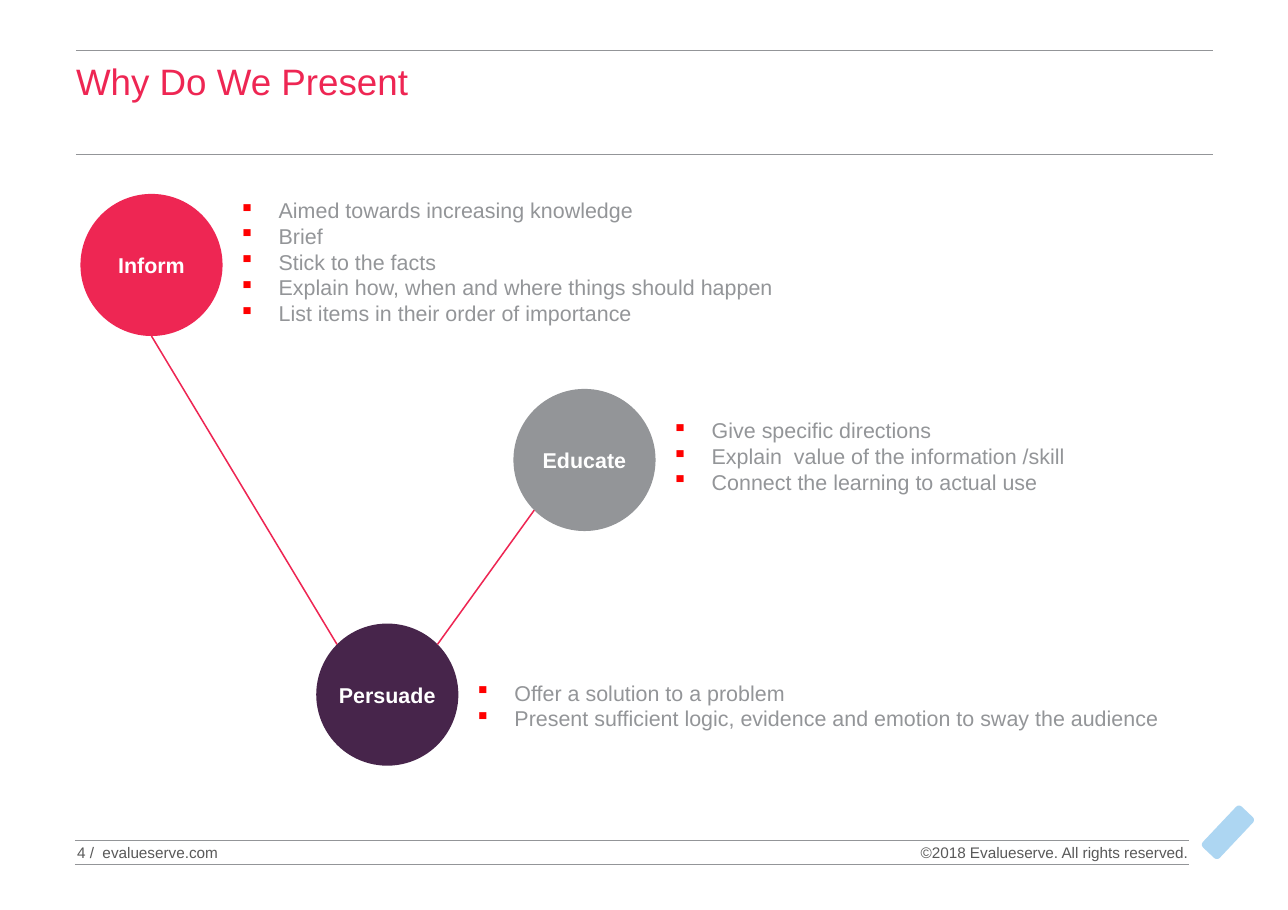
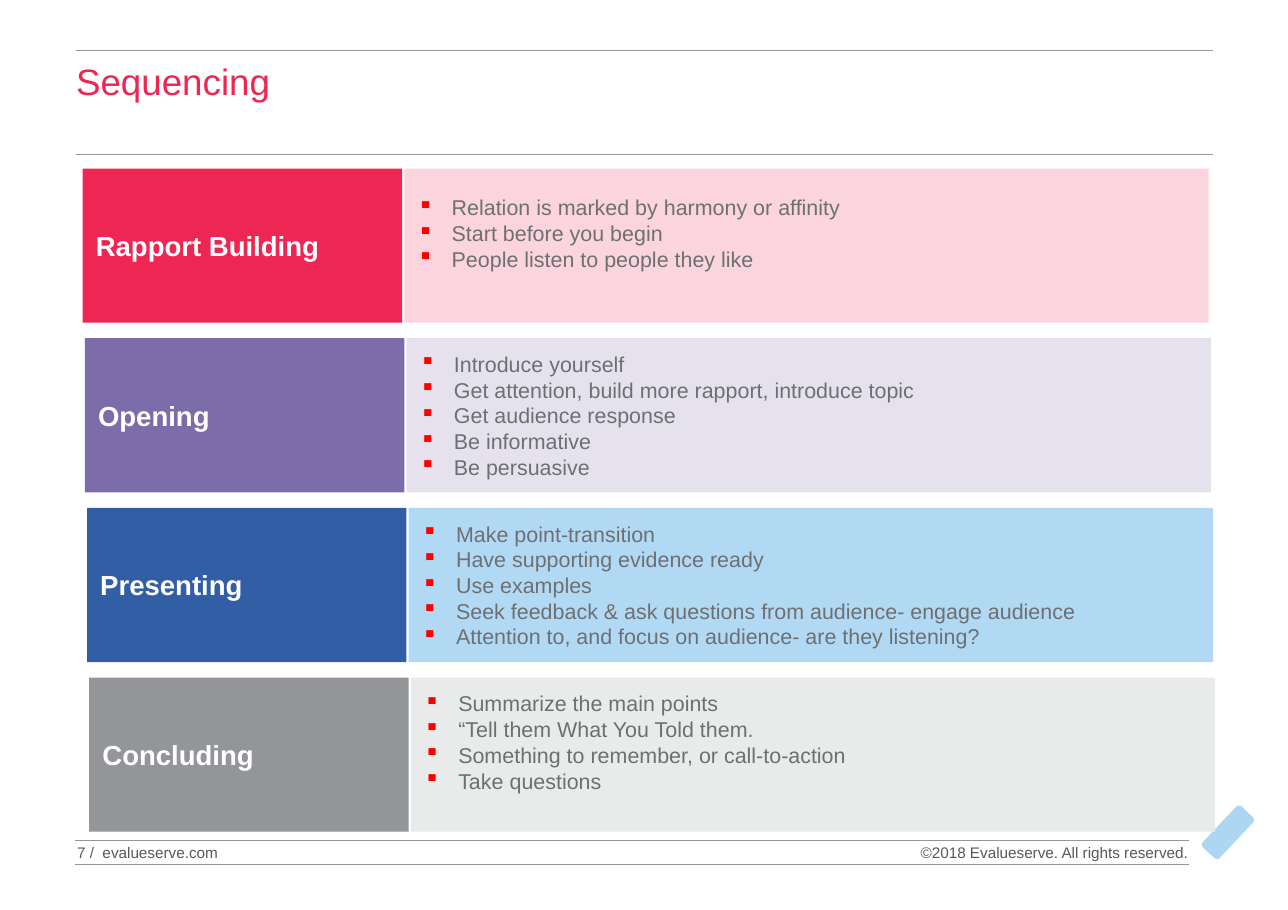
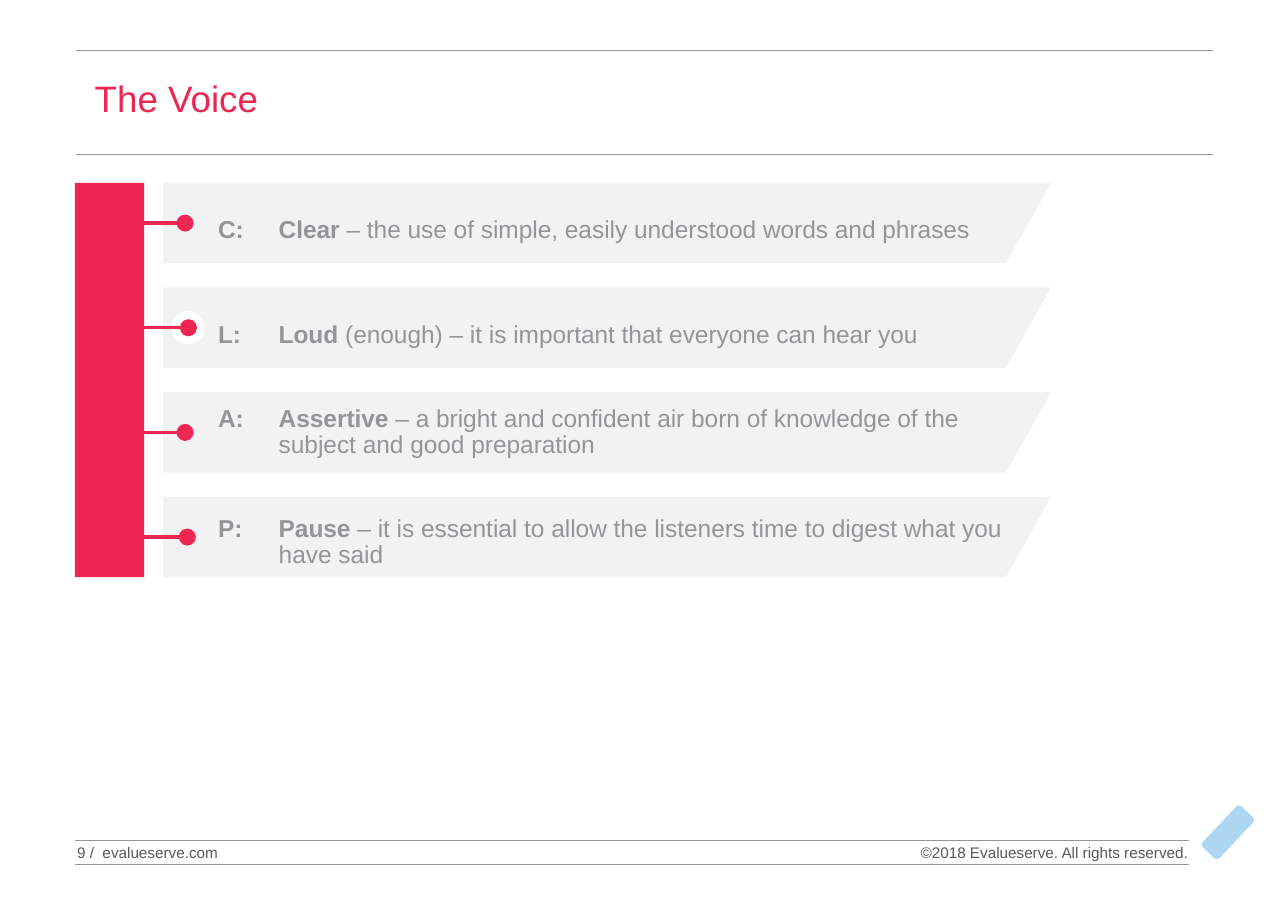
from math import cos, radians, sin

from lxml.etree import SubElement
from pptx import Presentation
from pptx.dml.color import RGBColor
from pptx.enum.shapes import MSO_CONNECTOR as CONNECTOR, MSO_SHAPE as SHAPE
from pptx.enum.text import MSO_ANCHOR as ANCHOR, MSO_AUTO_SIZE as AUTO_SIZE, PP_ALIGN as ALIGN
from pptx.oxml.ns import qn
from pptx.util import Inches, Pt

FONT = "Arial"
RED, PLUM, GRAY, WHITE = "EE2653", "47254B", "939598", "FFFFFF"
PURPLE, BLUE, SKY = "7C6CAA", "315EA5", "ADD6F2"
BODY, FOOTER, BULLET, BAND = "6D7073", "595959", "FF0000", "F2F2F2"
TITLE_BOX = (0.69, 0.48, 10.32, 0.85)


def color(value):
    return RGBColor.from_string(value)


def inches(values):
    return [Inches(value) for value in values]


# Basic parts

def format_frame(shape, anchor=ANCHOR.TOP, insets=(0, 0, 0, 0), wrap=True):
    """Insets run left, top, right, bottom."""
    frame = shape.text_frame
    frame.word_wrap = wrap
    frame.auto_size = AUTO_SIZE.NONE
    frame.vertical_anchor = anchor
    (frame.margin_left, frame.margin_top,
     frame.margin_right, frame.margin_bottom) = inches(insets)
    return frame


def format_runs(paragraph, size, fill, bold=False, align=ALIGN.LEFT):
    paragraph.alignment = align
    for run in paragraph.runs:
        run.font.name, run.font.size, run.font.bold = FONT, Pt(size), bold
        run.font.color.rgb = color(fill)


def paint(shape, fill):
    shape.shadow.inherit = False
    shape.fill.solid()
    shape.fill.fore_color.rgb = color(fill)
    shape.line.fill.background()
    return shape


def add_block(slide, kind, box, fill):
    return paint(slide.shapes.add_shape(kind, *inches(box)), fill)


def add_line(slide, start, end, fill=GRAY, width=0.75, dot=False):
    line = slide.shapes.add_connector(CONNECTOR.STRAIGHT, *inches((*start, *end)))
    line.line.color.rgb = color(fill)
    line.line.width = Pt(width)
    if dot:
        SubElement(line.line._get_or_add_ln(), qn("a:tailEnd"), type="oval", w="lg", len="lg")
    SubElement(line._element.spPr, qn("a:effectLst"))


def add_text(slide, box, text, size, fill, align=ALIGN.LEFT):
    shape = slide.shapes.add_textbox(*inches(box))
    frame = format_frame(shape, ANCHOR.MIDDLE)
    frame.text = text
    format_runs(frame.paragraphs[0], size, fill, align=align)


def set_hanging(paragraph, indent):
    properties = paragraph._p.get_or_add_pPr()
    properties.set("marL", str(Inches(indent)))
    properties.set("indent", str(-Inches(indent)))
    return properties


def fill_bullets(frame, items, fill, indent):
    frame.text = "\n".join(items)
    for paragraph in frame.paragraphs:
        properties = set_hanging(paragraph, indent)
        bullet_color = SubElement(properties, qn("a:buClr"))
        SubElement(bullet_color, qn("a:srgbClr"), val=BULLET)
        SubElement(properties, qn("a:buChar"), char="▪")
        format_runs(paragraph, 14, fill)


# Shared page: rules, footer, corner accent and title

def add_page(presentation, title, number, title_box=TITLE_BOX):
    slide = presentation.slides.add_slide(presentation.slide_layouts[5])
    accent = add_block(slide, SHAPE.ROUNDED_RECTANGLE, (11.04, 7.3, 0.21, 0.51), SKY)
    accent.rotation = 43.3
    for left, right, top in ((0.69, 11.01, 0.46), (0.69, 11.01, 1.4),
                             (0.68, 10.79, 7.63), (0.68, 10.79, 7.85)):
        add_line(slide, (left, top), (right, top))
    add_text(slide, (0.7, 7.63, 1.72, 0.22), f"{number} /  evalueserve.com", 10, FOOTER)
    add_text(slide, (7.08, 7.64, 3.7, 0.2), "©2018 Evalueserve. All rights reserved.",
             10, FOOTER, ALIGN.RIGHT)

    heading = slide.shapes.title
    heading.left, heading.top, heading.width, heading.height = inches(title_box)
    frame = format_frame(heading, insets=(0, 0.05, 0, 0.05))
    frame.text = title
    format_runs(frame.paragraphs[0], 24, RED)
    return slide


# Purpose slide: circles joined by lines, each with a list

DIAMETER = 1.29


def add_purpose(slide, left, top, name, fill, list_top, list_width, items):
    circle = add_block(slide, SHAPE.OVAL, (left, top, DIAMETER, DIAMETER), fill)
    frame = format_frame(circle, ANCHOR.MIDDLE, wrap=False)
    frame.text = name
    format_runs(frame.paragraphs[0], 14, WHITE, True, ALIGN.CENTER)
    box = (left + DIAMETER + 0.15, list_top, list_width, 0.25 * len(items) + 0.1)
    notes = slide.shapes.add_textbox(*inches(box))
    fill_bullets(format_frame(notes), items, GRAY, 0.36)


def rim_point(left, top, angle):
    """Point on a circle's rim; angles run clockwise from the right."""
    radius = DIAMETER / 2
    return (left + radius * (1 + cos(radians(angle))),
            top + radius * (1 + sin(radians(angle))))


def build_purposes(presentation):
    slide = add_page(presentation, "Why Do We Present", 4)
    inform, educate, persuade = (0.73, 1.76), (4.66, 3.53), (2.87, 5.66)
    add_purpose(slide, *inform, "Inform", RED, 1.79, 6.1, [
        "Aimed towards increasing knowledge",
        "Brief",
        "Stick to the facts",
        "Explain how, when and where things should happen",
        "List items in their order of importance"])
    add_purpose(slide, *educate, "Educate", GRAY, 3.79, 4.93, [
        "Give specific directions",
        "Explain  value of the information /skill",
        "Connect the learning to actual use"])
    add_purpose(slide, *persuade, "Persuade", PLUM, 6.17, 6.79, [
        "Offer a solution to a problem",
        "Present sufficient logic, evidence and emotion to sway the audience"])
    add_line(slide, rim_point(*inform, 90), rim_point(*persuade, 225), RED, 1)
    add_line(slide, rim_point(*educate, 135), rim_point(*persuade, 315), RED, 1)


# Sequence slide: rows of a heading block and a list block

def add_stage(slide, left, top, name, fill, tint, items, bottom_inset):
    height, inset = 1.4, 0.12
    heading = add_block(slide, SHAPE.RECTANGLE, (left, top, 2.9, height), fill)
    frame = format_frame(heading, ANCHOR.MIDDLE, (inset,) * 4)
    frame.text = name
    format_runs(frame.paragraphs[0], 18, WHITE, True)
    panel = add_block(slide, SHAPE.RECTANGLE, (left + 2.92, top, 7.3, height), tint)
    frame = format_frame(panel, ANCHOR.MIDDLE, (inset, inset, inset, bottom_inset))
    fill_bullets(frame, items, BODY, 0.31)


def build_sequence(presentation):
    slide = add_page(presentation, "Sequencing", 7)
    stages = [
        ("Rapport Building", RED, "FCD4DD", [
            "Relation is marked by harmony or affinity",
            "Start before you begin",
            "People listen to people they like"], 0.35),
        ("Opening", PURPLE, "E5E2EE", [
            "Introduce yourself",
            "Get attention, build more rapport, introduce topic",
            "Get audience response",
            "Be informative",
            "Be persuasive"], 0.12),
        ("Presenting", BLUE, "B2D9F4", [
            "Make point-transition",
            "Have supporting evidence ready",
            "Use examples",
            "Seek feedback & ask questions from audience- engage audience",
            "Attention to, and focus on audience- are they listening?"], 0.12),
        ("Concluding", GRAY, "E9EAEA", [
            "Summarize the main points",
            "“Tell them What You Told them.",
            "Something to remember, or call-to-action",
            "Take questions"], 0.35),
    ]
    for row, stage in enumerate(stages):
        add_stage(slide, 0.75 + 0.02 * row, 1.53 + 1.54 * row, *stage)


# Voice slide: a bar with pins into slanted bands

def add_voice_band(slide, left, top, height, letter, word, rest, top_inset):
    right, slant = left + 8.06, 0.41
    outline = slide.shapes.build_freeform(Inches(left), Inches(top))
    outline.add_line_segments([inches(point) for point in (
        (right, top), (right - slant, top + height), (left, top + height))])
    band = paint(outline.convert_to_shape(), BAND)
    frame = format_frame(band, ANCHOR.MIDDLE, (0.5, top_inset, 0.4, 0))
    paragraph = frame.paragraphs[0]
    set_hanging(paragraph, 0.55)
    paragraph.line_spacing = 0.9
    for text in (f"{letter}:\t{word} ", rest):
        paragraph.add_run().text = text
    format_runs(paragraph, 16, GRAY)
    paragraph.runs[0].font.bold = True


def build_voice(presentation):
    slide = add_page(presentation, "The Voice", 9, (0.86, 0.64, 10.32, 0.85))
    top, height, pitch = 1.66, 0.73, 0.95
    bar_left, bar_width = 0.68, 0.63
    bands = [
        ("C", "Clear", "– the use of simple, easily understood words and phrases", 0.14, 1.68),
        ("L", "Loud", "(enough) – it is important that everyone can hear you", 0.14, 1.71),
        ("A", "Assertive", "– a bright and confident air born of knowledge of the "
         "subject and good preparation", 0, 1.68),
        ("P", "Pause", "– it is essential to allow the listeners time to digest "
         "what you have said", 0.1, 1.7),
    ]
    add_block(slide, SHAPE.RECTANGLE, (bar_left, top, bar_width, 3 * pitch + height), RED)
    for row, (*content, pin_end) in enumerate(bands):
        band_top = top + row * pitch
        middle = band_top + height / 2
        add_voice_band(slide, 1.48, band_top, height, *content)
        if content[0] == "L":  # white halo behind this pin
            add_block(slide, SHAPE.OVAL, (1.56, middle - 0.15, 0.3, 0.3), WHITE)
        add_line(slide, (bar_left + bar_width, middle), (pin_end, middle), RED, 2.25, dot=True)


def main():
    presentation = Presentation()
    presentation.slide_width, presentation.slide_height = inches((11.69, 8.26))
    build_purposes(presentation)
    build_sequence(presentation)
    build_voice(presentation)
    presentation.save("out.pptx")


if __name__ == "__main__":
    main()
